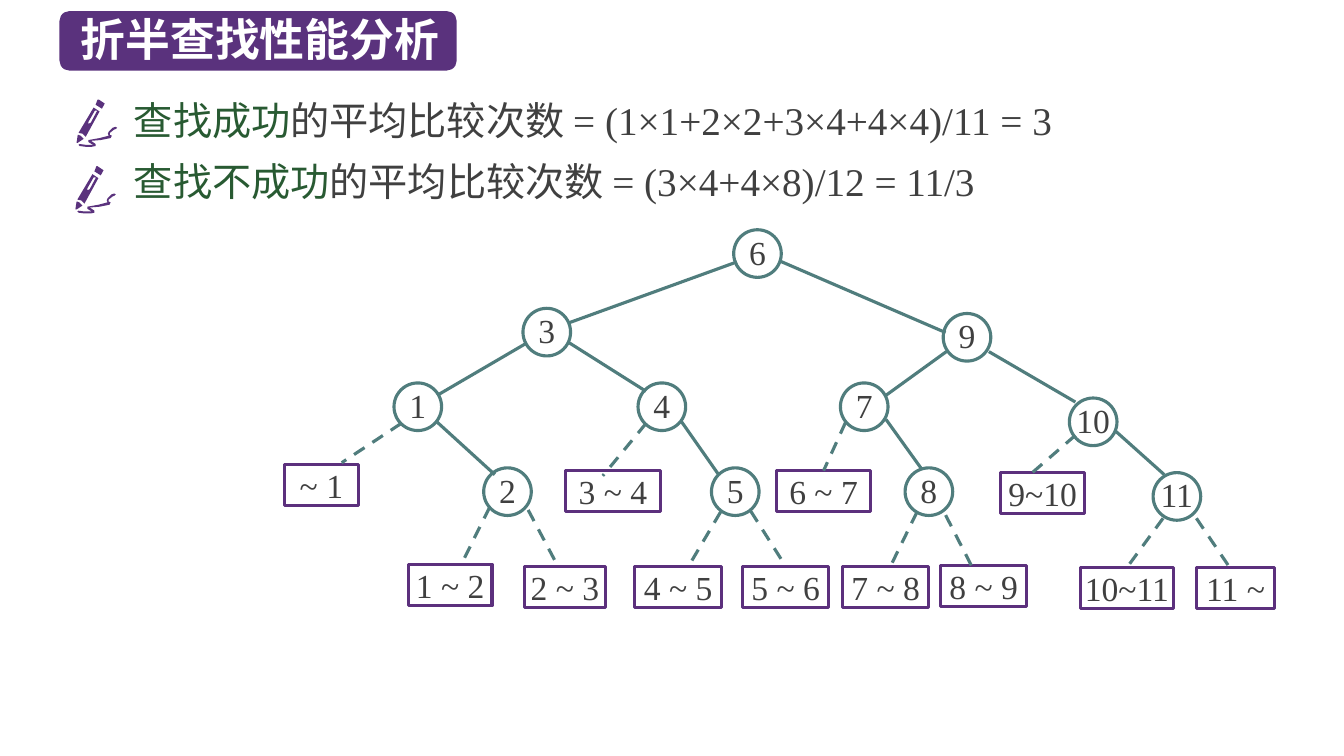
from dataclasses import dataclass
from typing import Any, Optional

from lxml.etree import SubElement
from pptx import Presentation
from pptx.dml.color import RGBColor
from pptx.enum.dml import MSO_LINE
from pptx.enum.shapes import MSO_CONNECTOR, MSO_SHAPE
from pptx.enum.text import MSO_ANCHOR, MSO_AUTO_SIZE, PP_ALIGN
from pptx.oxml.ns import qn
from pptx.util import Cm, Pt

PURPLE = RGBColor(0x5A, 0x32, 0x7D)
RANGE_PURPLE = RGBColor(0x5C, 0x30, 0x7D)
TEAL = RGBColor(0x50, 0x7D, 0x7D)
GREEN = RGBColor(0x28, 0x5A, 0x32)
GREY = RGBColor(0x40, 0x40, 0x40)
WHITE = RGBColor(0xFF, 0xFF, 0xFF)

LATIN, CHINESE = "Times New Roman", "Noto Sans CJK SC"
TITLE_FONT = {"size": Pt(32), "name": CHINESE, "bold": True}
FORMULA_FONT = {"size": Pt(28), "name": LATIN}
TREE_FONT = {"size": Pt(24), "name": LATIN}
TREE_FRAME = {"margin_left": 0, "margin_right": 0, "margin_top": 0, "margin_bottom": 0,
              "word_wrap": False, "vertical_anchor": MSO_ANCHOR.MIDDLE}
LIST_FRAME = {"word_wrap": True, "vertical_anchor": MSO_ANCHOR.TOP,
              "auto_size": MSO_AUTO_SIZE.NONE}

NODE_SIZE = 1.2
RANGE_HEIGHT = 1.04
JOIN_TOLERANCE = 0.1
Point = tuple[float, float]


@dataclass(frozen=True)
class Branch:
    """Line from a parent node to its child, in cm."""
    start: Point
    end: Point


@dataclass(frozen=True)
class Node:
    """Key in the decision tree."""
    key: int
    left: float
    top: float
    branch: Optional[Branch] = None


@dataclass(frozen=True)
class Range:
    """Interval where an unsuccessful search ends."""
    label: str
    left: float
    top: float
    width: float
    branch: Branch


@dataclass(frozen=True)
class Formula:
    subject: str
    rest: str
    pencil: Point
    space_before: int


FORMULAS = [
    Formula("查找成功", "的平均比较次数 = (1×1+2×2+3×4+4×4)/11 = 3", (1.93, 2.51), 0),
    Formula("查找不成功", "的平均比较次数 = (3×4+4×8)/12 = 11/3", (1.9, 4.19), 10),
]
NODES = [
    Node(6, 18.49, 5.79),
    Node(3, 13.18, 7.77, Branch((18.57, 6.6), (14.35, 8.13))),
    Node(9, 23.77, 7.9, Branch((19.66, 6.58), (23.83, 8.38))),
    Node(1, 9.93, 9.65, Branch((13.28, 8.64), (11.02, 9.96))),
    Node(4, 16.08, 9.65, Branch((14.3, 8.61), (16.28, 9.86))),
    Node(7, 21.18, 9.65, Branch((23.85, 8.86), (22.33, 9.96))),
    Node(10, 26.95, 10.03, Branch((24.92, 8.86), (27.1, 10.13))),
    Node(2, 12.19, 11.79, Branch((11.02, 10.64), (12.47, 11.96))),
    Node(5, 17.93, 11.79, Branch((17.17, 10.62), (18.11, 11.96))),
    Node(8, 22.81, 11.79, Branch((22.33, 10.57), (23.22, 11.81))),
    Node(11, 29.06, 11.91, Branch((28.12, 10.87), (29.34, 11.96))),
]
RANGES = [
    Range("~ 1", 7.16, 11.71, 1.88, Branch((10.11, 10.67), (8.61, 11.66))),
    Range("1 ~ 2", 10.29, 14.22, 2.11, Branch((12.34, 12.78), (11.61, 14.25))),
    Range("2 ~ 3", 13.21, 14.27, 2.06, Branch((13.31, 12.85), (14.05, 14.25))),
    Range("3 ~ 4", 14.25, 11.86, 2.39, Branch((16.28, 10.67), (15.19, 11.99))),
    Range("4 ~ 5", 16, 14.27, 2.18, Branch((18.16, 12.9), (17.35, 14.27))),
    Range("5 ~ 6", 18.72, 14.27, 2.16, Branch((18.92, 12.88), (19.74, 14.27))),
    Range("6 ~ 7", 19.56, 11.86, 2.39, Branch((21.31, 10.64), (20.73, 11.79))),
    Range("7 ~ 8", 21.23, 14.27, 2.18, Branch((23.11, 12.9), (22.45, 14.25))),
    Range("8 ~ 9", 23.7, 14.25, 2.18, Branch((23.83, 12.98), (24.49, 14.27))),
    Range("9~10", 25.22, 11.91, 2.11, Branch((27.1, 10.97), (25.98, 11.94))),
    Range("10~11", 27.23, 14.3, 2.34, Branch((29.31, 13.06), (28.47, 14.3))),
    Range("11 ~", 30.15, 14.3, 1.98, Branch((30.15, 13.06), (30.99, 14.3))),
]
# Pencil parts as lists of contours, in hundredths of a cm
PENCIL_PARTS = [
    [[(64, 23), (71, 10), (56, 0), (53, 0), (48, 13)]],
    [[(18, 99), (10, 91), (5, 89), (3, 89), (0, 109), (3, 109)]],
    [[(23, 94), (58, 30), (43, 20), (5, 84), (15, 86)],
     [(30, 56), (46, 28), (51, 28), (51, 30), (36, 58), (30, 61)]],
    [[(99, 69), (97, 69), (91, 71), (81, 81), (79, 86), (81, 91), (58, 97), (30, 102),
      (30, 107), (38, 112), (43, 114), (38, 114), (23, 114), (8, 112), (5, 114),
      (8, 117), (23, 119), (38, 119), (48, 117), (48, 112), (41, 107), (36, 104),
      (61, 102), (86, 97), (89, 91), (84, 89), (84, 84), (94, 76), (99, 74), (102, 71)]],
]


def apply(target: Any, values: dict[str, Any]) -> None:
    for attribute, value in values.items():
        setattr(target, attribute, value)


def place(shape: Any, left: float, top: float, width: float, height: float) -> None:
    apply(shape, {"left": Cm(left), "top": Cm(top), "width": Cm(width), "height": Cm(height)})


def add_run(paragraph: Any, text: str, font: dict[str, Any], color: RGBColor) -> None:
    run = paragraph.add_run()
    run.text = text
    apply(run.font, font)
    run.font.color.rgb = color
    SubElement(run.font._element, qn("a:ea"), typeface=CHINESE)


def draw_box(slide: Any, kind: MSO_SHAPE, label: str, box: tuple[float, float, float, float],
             color: RGBColor) -> Any:
    shape = slide.shapes.add_shape(kind, *map(Cm, box))
    shape.shadow.inherit = False
    shape.fill.background()
    shape.line.color.rgb = color
    shape.line.width = Pt(2.25)
    apply(shape.text_frame, TREE_FRAME)
    paragraph = shape.text_frame.paragraphs[0]
    paragraph.alignment = PP_ALIGN.CENTER
    if kind == MSO_SHAPE.OVAL:
        paragraph.line_spacing = Pt(26)
    add_run(paragraph, label, TREE_FONT, GREY)
    return shape


def draw_branch(slide: Any, branch: Branch) -> Any:
    line = slide.shapes.add_connector(MSO_CONNECTOR.STRAIGHT,
                                      *map(Cm, branch.start + branch.end))
    line.line.color.rgb = TEAL
    line.line.width = Pt(2.25)
    SubElement(line._element.spPr, qn("a:effectLst"))
    return line


def draw_node(slide: Any, node: Node) -> None:
    if node.branch:
        draw_branch(slide, node.branch)
    draw_box(slide, MSO_SHAPE.OVAL, str(node.key),
             (node.left, node.top, NODE_SIZE, NODE_SIZE), TEAL)


def draw_range(slide: Any, gap: Range) -> None:
    interval = draw_box(slide, MSO_SHAPE.RECTANGLE, gap.label,
                        (gap.left, gap.top, gap.width, RANGE_HEIGHT), RANGE_PURPLE)
    branch = draw_branch(slide, gap.branch)
    branch.line.dash_style = MSO_LINE.DASH
    if abs(gap.branch.end[0] - gap.left - gap.width / 2) < JOIN_TOLERANCE:
        branch.end_connect(interval, 0)


def draw_pencil(slide: Any, origin: Point) -> None:
    for first, *holes in PENCIL_PARTS:
        outline = slide.shapes.build_freeform(*first[0], scale=Cm(0.01))
        outline.add_line_segments(first[1:], close=True)
        for hole in holes:
            outline.move_to(*hole[0])
            outline.add_line_segments(hole[1:], close=True)
        part = outline.convert_to_shape(*map(Cm, origin))
        part.shadow.inherit = False
        part.fill.solid()
        part.fill.fore_color.rgb = PURPLE
        part.line.fill.background()


def draw_title(slide: Any) -> None:
    banner = slide.shapes.add_shape(MSO_SHAPE.ROUNDED_RECTANGLE,
                                    Cm(1.5), Cm(0.28), Cm(10.01), Cm(1.5))
    banner.shadow.inherit = False
    banner.fill.solid()
    banner.fill.fore_color.rgb = PURPLE
    banner.line.fill.background()
    title = slide.shapes.title
    place(title, 1.78, 0.18, 9.98, 1.63)
    apply(title.text_frame, LIST_FRAME)
    heading = title.text_frame.paragraphs[0]
    heading.alignment = PP_ALIGN.LEFT
    add_run(heading, "折半查找性能分析", TITLE_FONT, WHITE)
    banner._element.addnext(title._element)


def draw_formulas(slide: Any) -> None:
    body = slide.placeholders[1]
    place(body, 3.12, 2.29, 28.55, 3.25)
    frame = body.text_frame
    apply(frame, LIST_FRAME)
    for index, formula in enumerate(FORMULAS):
        paragraph = frame.add_paragraph() if index else frame.paragraphs[0]
        paragraph.space_before = Pt(formula.space_before)
        properties = paragraph._p.get_or_add_pPr()
        for indent in ("marL", "indent"):
            properties.set(indent, "0")
        SubElement(properties, qn("a:buNone"))
        add_run(paragraph, formula.subject, FORMULA_FONT, GREEN)
        add_run(paragraph, formula.rest, FORMULA_FONT, GREY)
        draw_pencil(slide, formula.pencil)


def main() -> None:
    presentation = Presentation()
    presentation.slide_width, presentation.slide_height = Cm(33.87), Cm(19.05)
    slide = presentation.slides.add_slide(presentation.slide_layouts[1])
    # Heading and formulas
    draw_title(slide)
    draw_formulas(slide)
    # Decision tree
    for node in NODES:
        draw_node(slide, node)
    for gap in RANGES:
        draw_range(slide, gap)
    presentation.save("out.pptx")


if __name__ == "__main__":
    main()
